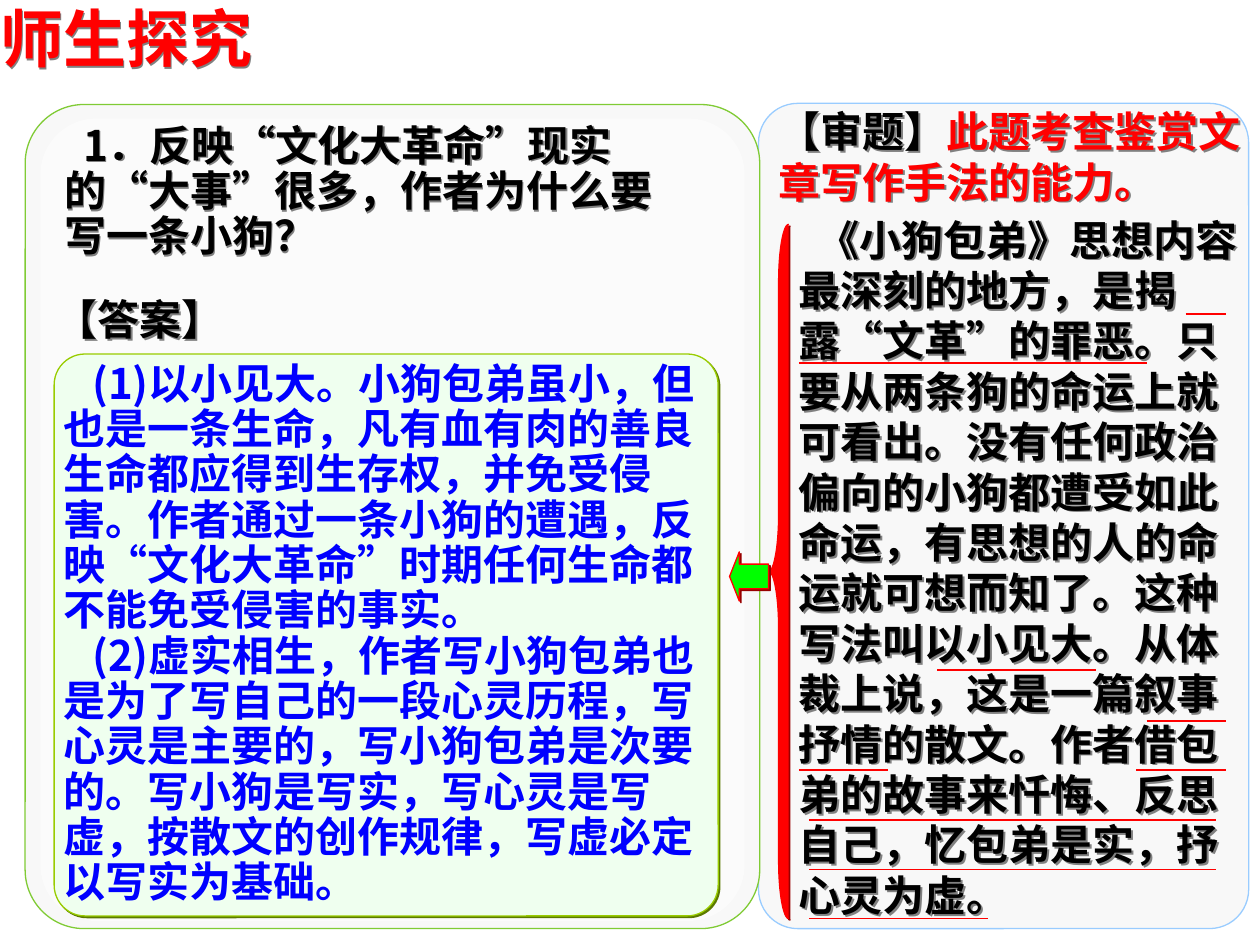
"""Build a Chinese lesson slide that pairs a question and answer with its analysis."""
from dataclasses import dataclass

from lxml import etree
from pptx import Presentation
from pptx import util as u
from pptx.dml.color import RGBColor
from pptx.enum import lang, shapes, text
from pptx.oxml.ns import qn


@dataclass(frozen=True)
class Theme:
    red: str = "FF0000"
    black: str = "000000"
    blue: str = "0000FF"
    green: str = "00FF00"
    white: str = "FFFFFF"
    panel: str = "F8F8F8"
    panel_green: str = "80CB35"
    panel_blue: str = "99CCFF"
    answer: str = "EFFFEF"
    answer_edge: str = "99CC00"
    answer_shadow: str = "5B7900"
    red_shadow: str = "980000"
    text_shadow: str = "808080"
    font: str = "Noto Sans CJK SC"
    title_font: str = "Arial"
    title_size: int = 36
    body_size: int = 24


theme = Theme()


def add_shadow(shape, color):
    shape.shadow.inherit = False
    effects = shape._element.spPr.find(qn("a:effectLst"))
    shadow = etree.SubElement(effects, qn("a:outerShdw"), blurRad="0",
                              dist=str(u.Pt(1.4)), dir="2700000", algn="ctr", rotWithShape="0")
    etree.SubElement(shadow, qn("a:srgbClr"), val=color)


def write(box, paragraphs, size=theme.body_size, font=theme.font, indent=0, spacing=None,
          anchor=text.MSO_ANCHOR.TOP):
    frame = box.text_frame
    frame.word_wrap = True
    frame.vertical_anchor = anchor
    frame.margin_left = frame.margin_right = frame.margin_top = frame.margin_bottom = 0
    for index, spans in enumerate(paragraphs):
        para = frame.paragraphs[0] if index == 0 else frame.add_paragraph()
        para.alignment = text.PP_ALIGN.LEFT
        para.line_spacing = spacing
        settings = para._p.get_or_add_pPr()
        settings.set("indent", str(u.Inches(indent)))
        settings.set("hangingPunct", "0")
        for words, color in spans:
            span = para.add_run()
            span.text = words
            span.font.size = u.Pt(size)
            span.font.bold = True
            span.font.name = font
            span.font.language_id = lang.MSO_LANGUAGE_ID.SIMPLIFIED_CHINESE
            span.font.color.rgb = RGBColor.from_string(color)
            latin = span._r.rPr.find(qn("a:latin"))
            latin.addnext(etree.Element(qn("a:ea"), typeface=theme.font))


deck = Presentation()
deck.slide_width, deck.slide_height = u.Inches(10), u.Inches(7.5)
page = deck.slides.add_slide(deck.slide_layouts[6])

kinds = shapes.MSO_SHAPE
rounded = kinds.ROUNDED_RECTANGLE
figures = {
    "analysis": (rounded, (6.02, 0.82, 3.89, 6.55), (0.08,), theme.panel, theme.panel_blue, None),
    "question": (rounded, (0.2, 0.83, 5.83, 6.54), (0.08,), theme.panel, theme.panel_green, None),
    "sheen": (rounded, (0.32, 0.94, 5.59, 6.37), (0.08,), theme.white, None, None),
    "answer": (rounded, (0.43, 2.81, 5.27, 4.46), (0.055,), theme.answer, theme.answer_edge,
               theme.answer_shadow),
    "brace": (kinds.LEFT_BRACE, (6.1, 1.78, 0.16, 5.51), (2.88, 0.5), theme.red, theme.red,
              theme.red_shadow),
    "arrow": (kinds.LEFT_ARROW, (5.79, 4.38, 0.31, 0.39), (0.5, 0.25), theme.green, theme.red,
              theme.red_shadow),
}
drawn = {}
for name, (kind, place, adjustments, fill, edge, shade) in figures.items():
    shape = page.shapes.add_shape(kind, *map(u.Inches, place))
    for index, value in enumerate(adjustments):
        shape.adjustments[index] = value
    shape.fill.solid()
    shape.fill.fore_color.rgb = RGBColor.from_string(fill)
    if edge:
        shape.line.color.rgb = RGBColor.from_string(edge)
        shape.line.width = u.Pt(0.75)
    else:
        shape.line.fill.background()
    shape.shadow.inherit = False
    if shade:
        add_shadow(shape, shade)
    drawn[name] = shape

sheen_color = drawn["sheen"]._element.spPr.find(qn("a:solidFill")).find(qn("a:srgbClr"))
etree.SubElement(sheen_color, qn("a:alpha"), val="50000")

middle = text.MSO_ANCHOR.MIDDLE
write(drawn["answer"], [
    [("(1)以小见大。小狗包弟虽小，但也是一条生命，凡有血有肉的善良生命都应得到生存权，并免受侵害。"
      "作者通过一条小狗的遭遇，反映“文化大革命”时期任何生命都不能免受侵害的事实。", theme.blue)],
    [("(2)虚实相生，作者写小狗包弟也是为了写自己的一段心灵历程，写心灵是主要的，写小狗包弟是次要的。"
      "写小狗是写实，写心灵是写虚，按散文的创作规律，写虚必定以写实为基础。", theme.blue)],
], indent=0.23, spacing=0.9, anchor=middle)

labels = [
    ((0, 0, 3.35, 0.6), [("师生探究", theme.red)],
     dict(size=theme.title_size, font=theme.title_font)),
    ((0.51, 0.99, 4.96, 1.08),
     [("1．反映“文化大革命”现实的“大事”很多，作者为什么要写一条小狗？", theme.black)],
     dict(indent=0.15, spacing=0.9, anchor=middle)),
    ((0.44, 2.33, 1.6, 0.4), [("【答案】", theme.black)], {}),
    ((6.18, 0.84, 3.7, 0.8),
     [("【审题】", theme.black), ("此题考查鉴赏文章写作手法的能力。", theme.red)], {}),
    ((6.34, 1.7, 3.55, 5.6),
     [("《小狗包弟》思想内容最深刻的地方，是揭露“文革”的罪恶。只要从两条狗的命运上就可看出。"
       "没有任何政治偏向的小狗都遭受如此命运，有思想的人的命运就可想而知了。这种写法叫以小见大。"
       "从体裁上说，这是一篇叙事抒情的散文。作者借包弟的故事来忏悔、反思自己，忆包弟是实，"
       "抒心灵为虚。", theme.black)],
     dict(indent=0.15, anchor=middle)),
]
for place, spans, style in labels:
    label = page.shapes.add_textbox(*map(u.Inches, place))
    add_shadow(label, theme.text_shadow)
    write(label, [spans], **style)

underlines = [
    (9.41, 9.73, 2.49), (6.34, 9.1, 2.88), (7.44, 8.7, 5.32),
    (9.1, 9.73, 5.72), (6.34, 7.05, 6.11), (9.02, 9.73, 6.11),
    (6.42, 9.65, 6.51), (6.42, 9.65, 6.9), (6.42, 7.84, 7.29),
]
for start, end, height in underlines:
    underline = page.shapes.add_connector(
        shapes.MSO_CONNECTOR.STRAIGHT, *map(u.Inches, (start, height, end, height)))
    underline.line.color.rgb = RGBColor.from_string(theme.red)
    underline.line.width = u.Pt(1)
    etree.SubElement(underline._element.spPr, qn("a:effectLst"))

deck.save("out.pptx")
